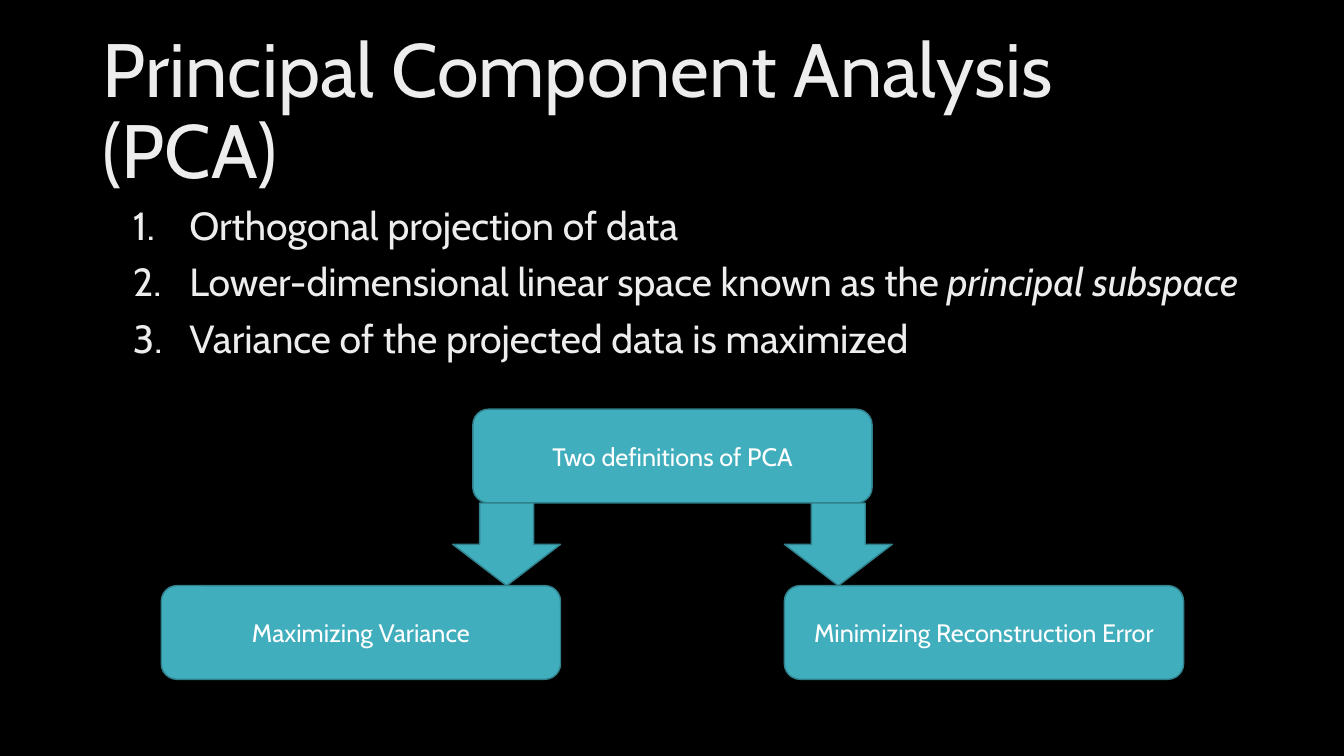
from lxml import etree
from pptx import Presentation
from pptx.dml.color import RGBColor
from pptx.enum.shapes import MSO_SHAPE
from pptx.enum.text import MSO_ANCHOR, PP_ALIGN
from pptx.oxml.ns import qn
from pptx.util import Inches, Pt

ROUNDED = MSO_SHAPE.ROUNDED_RECTANGLE
DOWN_ARROW = MSO_SHAPE.DOWN_ARROW
TOP, MIDDLE = MSO_ANCHOR.TOP, MSO_ANCHOR.MIDDLE
CENTER = PP_ALIGN.CENTER

BLACK = RGBColor(0x00, 0x00, 0x00)
WHITE = RGBColor(0xFF, 0xFF, 0xFF)
PALE = RGBColor(0xED, 0xED, 0xED)
TEAL = RGBColor(0x41, 0xAE, 0xBD)
DARK_TEAL = RGBColor(0x30, 0x81, 0x8C)

FONT = "Cabin"
LINE_SPACING = 0.9
LIST_INDENT = Inches(0.56)
BOX_WIDTH, BOX_HEIGHT = 3.96, 0.93
ARROW_WIDTH, ARROW_HEIGHT = 1.07, 0.82
LEFT_BOX, TOP_BOX, RIGHT_BOX = 1.6, 4.69, 7.78
ROOT_TOP = 4.06
ARROW_TOP = ROOT_TOP + BOX_HEIGHT
LEAF_TOP = ARROW_TOP + ARROW_HEIGHT

POINTS = [
    [("Orthogonal projection of data", False)],
    [("Lower-dimensional linear space known as the ", False),
     ("principal subspace", True)],
    [("Variance of the projected data is maximized", False)],
]


def set_font(font, size, color, **formats):
    for name, value in {"name": FONT, "size": Pt(size), **formats}.items():
        setattr(font, name, value)
    font.color.rgb = color


def add_text_box(page, left, top, width, height, anchor):
    box = page.shapes.add_textbox(
        Inches(left), Inches(top), Inches(width), Inches(height))
    frame = box.text_frame
    frame.word_wrap = True
    frame.vertical_anchor = anchor
    return frame


def add_title(page, text):
    para = add_text_box(page, 0.92, 0.4, 11.5, 1.45, MIDDLE).paragraphs[0]
    para.line_spacing = LINE_SPACING
    span = para.add_run()
    span.text = text
    set_font(span.font, 54, PALE)


def number_paragraph(para):
    properties = para._p.get_or_add_pPr()
    properties.set("marL", str(LIST_INDENT))
    properties.set("indent", str(-LIST_INDENT))
    etree.SubElement(properties, qn("a:buFont"), typeface="+mj-lt")
    etree.SubElement(properties, qn("a:buAutoNum"), type="arabicPeriod")


def add_numbered_list(page, points):
    frame = add_text_box(page, 1.22, 2, 11.19, 1.8, TOP)
    for index, spans in enumerate(points):
        para = frame.add_paragraph() if index else frame.paragraphs[0]
        number_paragraph(para)
        para.line_spacing = LINE_SPACING
        para.space_before = Pt(10 if index else 0)
        for text, italic in spans:
            span = para.add_run()
            span.text = text
            set_font(span.font, 28, PALE, italic=italic)


def add_teal_shape(page, kind, left, top, width, height):
    shape = page.shapes.add_shape(
        kind, Inches(left), Inches(top), Inches(width), Inches(height))
    shape.shadow.inherit = False
    shape.fill.solid()
    shape.fill.fore_color.rgb = TEAL
    shape.line.color.rgb = DARK_TEAL
    shape.line.width = Pt(1)
    return shape


def add_label_box(page, left, top, text):
    box = add_teal_shape(page, ROUNDED, left, top, BOX_WIDTH, BOX_HEIGHT)
    frame = box.text_frame
    frame.word_wrap = True
    frame.vertical_anchor = MIDDLE
    para = frame.paragraphs[0]
    para.alignment = CENTER
    span = para.add_run()
    span.text = text
    set_font(span.font, 18, WHITE)


def add_arrow(page, left):
    add_teal_shape(page, DOWN_ARROW, left, ARROW_TOP, ARROW_WIDTH, ARROW_HEIGHT)


def main():
    deck = Presentation()
    deck.slide_width = Inches(13.33)
    deck.slide_height = Inches(7.5)
    page = deck.slides.add_slide(deck.slide_layouts[6])
    page.background.fill.solid()
    page.background.fill.fore_color.rgb = BLACK

    add_title(page, "Principal Component Analysis (PCA)")
    add_numbered_list(page, POINTS)
    add_label_box(page, TOP_BOX, ROOT_TOP, "Two definitions of PCA")
    for left in (LEFT_BOX + BOX_WIDTH - ARROW_WIDTH, RIGHT_BOX):
        add_arrow(page, left)
    add_label_box(page, LEFT_BOX, LEAF_TOP, "Maximizing Variance")
    add_label_box(page, RIGHT_BOX, LEAF_TOP, "Minimizing Reconstruction Error")

    deck.save("out.pptx")


if __name__ == "__main__":
    main()
